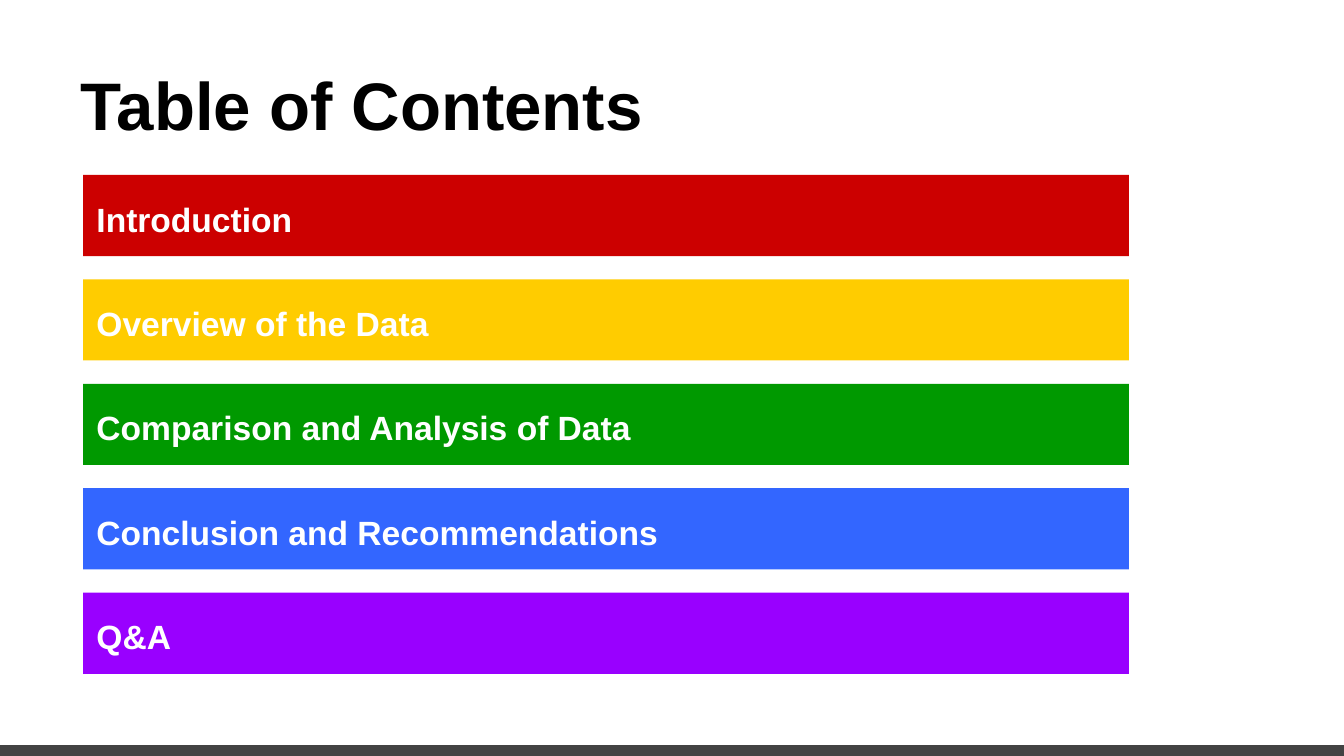
from pptx import Presentation
from pptx.dml.color import RGBColor as Rgb
from pptx.enum.shapes import MSO_CONNECTOR as Conn, MSO_SHAPE as Shape
from pptx.enum.text import MSO_ANCHOR as Anchor, MSO_AUTO_SIZE as Fit, PP_ALIGN as Align
from pptx.oxml.ns import qn
from pptx.util import Pt
from lxml.etree import SubElement

HUES = {
    "ink": "000000", "paper": "FFFFFF", "rule": "434343",
    "red": "CC0000", "gold": "FFCC00", "green": "009900",
    "blue": "3366FF", "violet": "9900FF",
}
WIDE, HIGH = 720, 405
TOPICS = [
    ("Introduction", "red"),
    ("Overview of the Data", "gold"),
    ("Comparison and Analysis of Data", "green"),
    ("Conclusion and Recommendations", "blue"),
    ("Q&A", "violet"),
]
LEFT, TOP, STEP = 44.6, 93.7, 55.95
BAR_WIDE, BAR_HIGH = 560.2, 43.5


class Deck:
    """Holds the style and the current slide."""

    face = "Arial"
    inset = Pt(7.2)

    def __init__(self, slide):
        self.slide = slide

    def hue(self, name):
        return Rgb.from_string(HUES[name])

    def label(self, shape, text, size, hue, anchor):
        frame = shape.text_frame
        frame.text = text
        frame.word_wrap = True
        frame.auto_size = Fit.NONE
        frame.vertical_anchor = anchor
        frame.margin_left = frame.margin_right = self.inset
        frame.margin_top = frame.margin_bottom = self.inset
        para = frame.paragraphs[0]
        para.alignment = Align.LEFT
        font = para.runs[0].font
        font.name, font.size, font.bold = self.face, Pt(size), True
        font.color.rgb = self.hue(hue)
        return para

    def title(self, text, x, y, w, h):
        shape = self.slide.shapes.title
        shape.left, shape.top, shape.width, shape.height = map(Pt, (x, y, w, h))
        self.label(shape, text, 36, "ink", Anchor.BOTTOM)

    def bar(self, text, hue, x, y, w, h):
        shape = self.slide.shapes.add_shape(Shape.RECTANGLE, *map(Pt, (x, y, w, h)))
        shape.shadow.inherit = False
        shape.fill.solid()
        shape.fill.fore_color.rgb = self.hue(hue)
        shape.line.fill.background()
        para = self.label(shape, text, 18, "paper", Anchor.MIDDLE)
        para.line_spacing = 1.15

    def rule(self, y, width):
        line = self.slide.shapes.add_connector(Conn.STRAIGHT, 0, Pt(y), Pt(WIDE), Pt(y))
        line.line.color.rgb = self.hue("rule")
        line.line.width = Pt(width)
        SubElement(line._element.spPr, qn("a:effectLst"))


def main():
    show = Presentation()
    show.slide_width, show.slide_height = Pt(WIDE), Pt(HIGH)
    deck = Deck(show.slides.add_slide(show.slide_layouts[5]))
    deck.rule(402.2, 6)
    deck.title("Table of Contents", 36, 16.6, 648, 67.7)
    for row, (text, hue) in enumerate(TOPICS):
        deck.bar(text, hue, LEFT, TOP + row * STEP, BAR_WIDE, BAR_HIGH)
    show.save("out.pptx")


if __name__ == "__main__":
    main()
